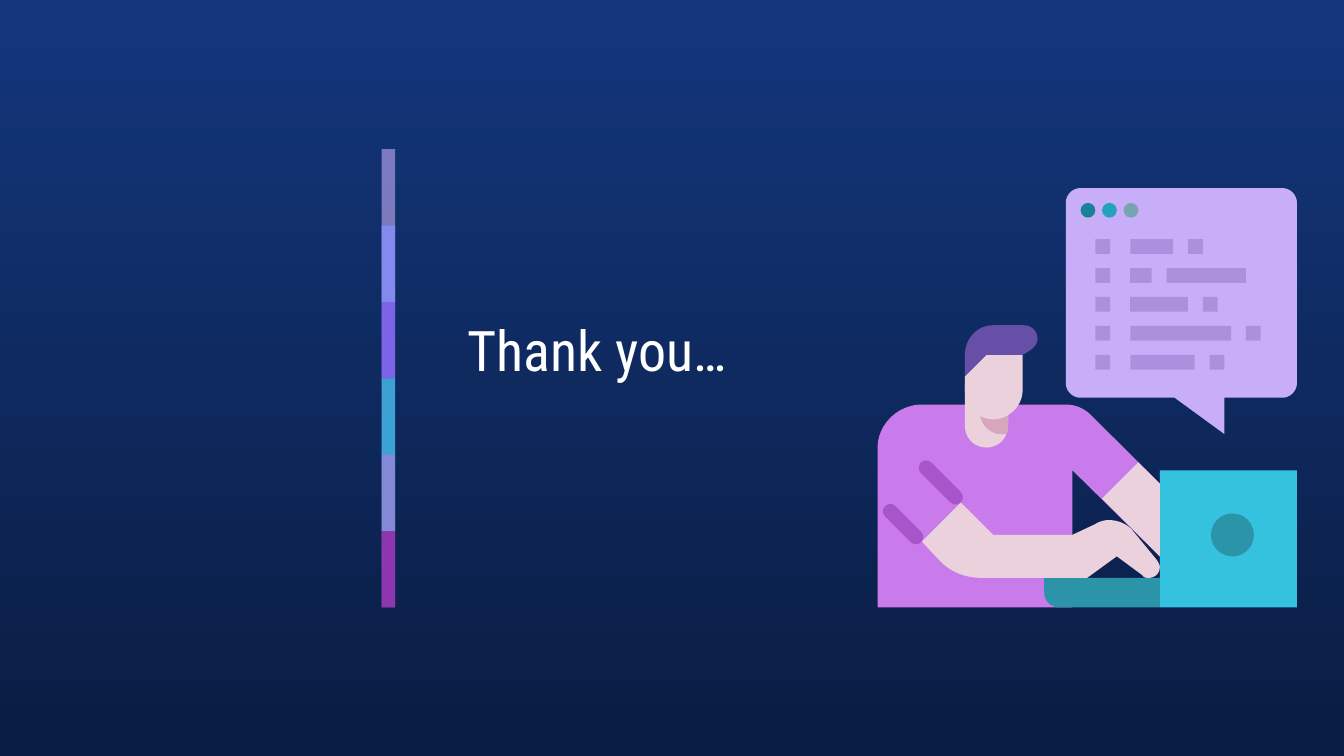
import pptx
import pptx.dml.color
import pptx.enum.shapes
import pptx.enum.text
import pptx.oxml.ns
import pptx.util

Inches = pptx.util.Inches
SHAPE = pptx.enum.shapes.MSO_SHAPE

SKIN = "EAD1DC"
SHIRT = "CA7BEB"
SLEEVE = "A855CB"
TEAL = "2B94A9"
LAPTOP = "35C2DF"
BUBBLE = "C8AEF8"
CODE = "AB90DE"

BARS = [("C8AEF8", 59), ("878FFF", 74), ("9154F8", 53),
        ("35C2DF", 76), ("CA7BEB", 56), ("972CB4", 74)]
CODE_WIDTHS = [(0.32, 0.11), (0.16, 0.59), (0.43, 0.11), (0.75, 0.11), (0.48, 0.11)]

TORSO = [(6.86, 3.01), (6.68, 3.01, 6.53, 3.16, 6.53, 3.33), (6.53, 4.52),
         (7.98, 4.52), (7.98, 3.5), (8.63, 4.14), (8.63, 3.6), (8.12, 3.09),
         (8.07, 3.04, 8, 3.01, 7.93, 3.01)]
KEYBOARD = [(7.77, 4.3), (7.77, 4.41), (7.77, 4.47, 7.82, 4.52, 7.88, 4.52),
            (8.63, 4.52), (8.63, 4.3)]
NECK = [(7.18, 2.85), (7.18, 3.17), (7.18, 3.26, 7.25, 3.33, 7.34, 3.33),
        (7.43, 3.33, 7.5, 3.26, 7.5, 3.17), (7.5, 2.85)]
NECK_SHADE = [(7.29, 2.85), (7.29, 3.07), (7.29, 3.15, 7.36, 3.23, 7.45, 3.23),
              (7.49, 3.23), (7.5, 3.21, 7.5, 3.19, 7.5, 3.17), (7.5, 2.85)]
NEAR_ARM = [(7.15, 3.74), (6.86, 4.03), (7, 4.18),
            (7.08, 4.26, 7.19, 4.3, 7.3, 4.3), (8.09, 4.3), (8.31, 4.14),
            (8.5, 4.28), (8.51, 4.3, 8.53, 4.3, 8.55, 4.3),
            (8.59, 4.3, 8.63, 4.27, 8.63, 4.22),
            (8.63, 4.2, 8.62, 4.19, 8.61, 4.17), (8.43, 3.95),
            (8.39, 3.9, 8.32, 3.87, 8.25, 3.87),
            (8.22, 3.87, 8.18, 3.88, 8.15, 3.9), (7.98, 3.98), (7.39, 3.98)]
FAR_ARM = [(8.47, 3.44), (8.2, 3.71), (8.63, 4.14), (8.63, 3.6)]
SPEECH = [(8.04, 1.4), (7.98, 1.4, 7.93, 1.45, 7.93, 1.51), (7.93, 2.85),
          (7.93, 2.91, 7.98, 2.96, 8.04, 2.96), (8.74, 2.96), (9.11, 3.23),
          (9.11, 2.96), (9.54, 2.96), (9.6, 2.96, 9.65, 2.91, 9.65, 2.85),
          (9.65, 1.51), (9.65, 1.45, 9.6, 1.4, 9.54, 1.4)]
FACE = [(7.34, 2.64), (7.18, 2.8), (7.18, 2.9),
        (7.18, 3.02, 7.27, 3.12, 7.39, 3.12),
        (7.51, 3.12, 7.61, 3.02, 7.61, 2.9), (7.61, 2.64)]
HAIR = [(7.39, 2.42), (7.27, 2.42, 7.18, 2.52, 7.18, 2.64), (7.18, 2.8),
        (7.34, 2.64), (7.61, 2.64), (7.66, 2.61),
        (7.69, 2.59, 7.72, 2.56, 7.72, 2.52),
        (7.72, 2.46, 7.67, 2.42, 7.62, 2.42)]


def rgb(color):
    """Turn a hex string into a colour."""
    return pptx.dml.color.RGBColor.from_string(color)


def paint(sp, color, opacity=100):
    """Give a shape a flat fill with no line or shadow."""
    sp.shadow.inherit = False
    sp.line.fill.background()
    sp.fill.solid()
    sp.fill.fore_color.rgb = rgb(color)
    if opacity < 100:
        qn = pptx.oxml.ns.qn
        clr = sp.element.spPr.find(f"{qn('a:solidFill')}/{qn('a:srgbClr')}")
        clr.append(clr.makeelement(qn("a:alpha"), {"val": str(opacity * 1000)}))


def add_block(group, kind, x, y, w, h, color, opacity=100):
    """Add a preset shape, measured in inches."""
    sp = group.shapes.add_shape(kind, Inches(x), Inches(y), Inches(w), Inches(h))
    paint(sp, color, opacity)
    return sp


def add_pill(group, cx, cy, length, color):
    """Add a rounded bar tilted by 45 degrees about its centre."""
    h = 0.11
    sp = add_block(group, SHAPE.ROUNDED_RECTANGLE, cx - length / 2, cy - h / 2,
                   length, h, color)
    sp.adjustments[0] = 0.5
    sp.rotation = 45


def flatten(outline, steps=12):
    """Turn points and cubic curves into a list of points."""
    points = []
    for part in outline:
        if len(part) == 2:
            points.append(part)
            continue
        knots = [points[-1], part[:2], part[2:4], part[4:]]
        for i in range(1, steps + 1):
            t = i / steps
            weights = ((1 - t) ** 3, 3 * t * (1 - t) ** 2, 3 * t * t * (1 - t), t ** 3)
            points.append(tuple(sum(w * k[axis] for w, k in zip(weights, knots))
                                for axis in (0, 1)))
    return points


def add_outline(group, outline, color):
    """Add a closed freeform."""
    points = [(Inches(x), Inches(y)) for x, y in flatten(outline)]
    builder = group.shapes.build_freeform(*points[0])
    builder.add_line_segments(points[1:], close=True)
    paint(builder.convert_to_shape(), color)


def set_background(s):
    """Fill the slide with a vertical gradient."""
    fill = s.background.fill
    fill.gradient()
    fill.gradient_angle = 270
    for stop, color in zip(fill.gradient_stops, ("13367C", "0A1D42")):
        stop.color.rgb = rgb(color)


def set_title(s, text):
    """Place and format the title."""
    sp = s.shapes.title
    sp.left, sp.top, sp.width, sp.height = map(Inches, (3.38, 2.24, 2.88, 0.71))
    tf = sp.text_frame
    tf.margin_left = tf.margin_right = tf.margin_top = tf.margin_bottom = Inches(0.1)
    tf.vertical_anchor = pptx.enum.text.MSO_ANCHOR.MIDDLE
    tf.auto_size = pptx.enum.text.MSO_AUTO_SIZE.NONE
    tf.text = text
    p = tf.paragraphs[0]
    p.alignment = pptx.enum.text.PP_ALIGN.LEFT
    p.font.name = "Roboto Condensed"
    p.font.size = pptx.util.Pt(30)
    p.font.color.rgb = rgb("FFFFFF")


def add_code_lines(group):
    """Add the rows of code blocks in the speech bubble."""
    size, top, last = 0.11, 1.78, 2.64
    pitch = (last - top) / (len(CODE_WIDTHS) - 1)
    for row, (first, second) in enumerate(CODE_WIDTHS):
        for x, w in ((8.15, size), (8.41, first), (8.41 + first + size, second)):
            add_block(group, SHAPE.RECTANGLE, x, top + row * pitch, w, size, CODE)


def add_coder(s):
    """Add the person at the laptop with the speech bubble."""
    group = s.shapes.add_group_shape()
    add_outline(group, TORSO, SHIRT)
    add_pill(group, 6.72, 3.9, 0.38, SLEEVE)
    add_pill(group, 7, 3.59, 0.42, SLEEVE)
    add_block(group, SHAPE.RECTANGLE, 8.63, 3.5, 1.02, 1.02, LAPTOP)
    for outline, color in ((KEYBOARD, TEAL), (NECK, SKIN), (NECK_SHADE, "D5A6BD"),
                           (NEAR_ARM, SKIN), (FAR_ARM, SKIN)):
        add_outline(group, outline, color)
    add_block(group, SHAPE.OVAL, 9.01, 3.82, 0.32, 0.32, TEAL)
    add_outline(group, SPEECH, BUBBLE)
    add_code_lines(group)
    add_outline(group, FACE, SKIN)
    add_outline(group, HAIR, "674EA7")
    for i, color in enumerate(("198298", "22A2BC", "76A5AF")):
        add_block(group, SHAPE.OVAL, 8.04 + i * 0.16, 1.51, 0.11, 0.11, color)


def add_color_bar(s):
    """Add the stack of overlapping translucent bars."""
    group = s.shapes.add_group_shape()
    top, bottom = 1.11, 4.52
    step = (bottom - top) / len(BARS)
    for i, (color, opacity) in enumerate(BARS):
        y = top + i * step
        h = min(2 * step, bottom - y)
        add_block(group, SHAPE.RECTANGLE, 2.84, y, 0.1, h, color, opacity)


def main():
    """Build the closing slide."""
    prs = pptx.Presentation()
    prs.slide_width = Inches(10)
    prs.slide_height = prs.slide_width * 9 // 16
    s = prs.slides.add_slide(prs.slide_layouts[5])
    set_background(s)
    set_title(s, "Thank you…")
    add_coder(s)
    add_color_bar(s)
    prs.save("out.pptx")


if __name__ == "__main__":
    main()
